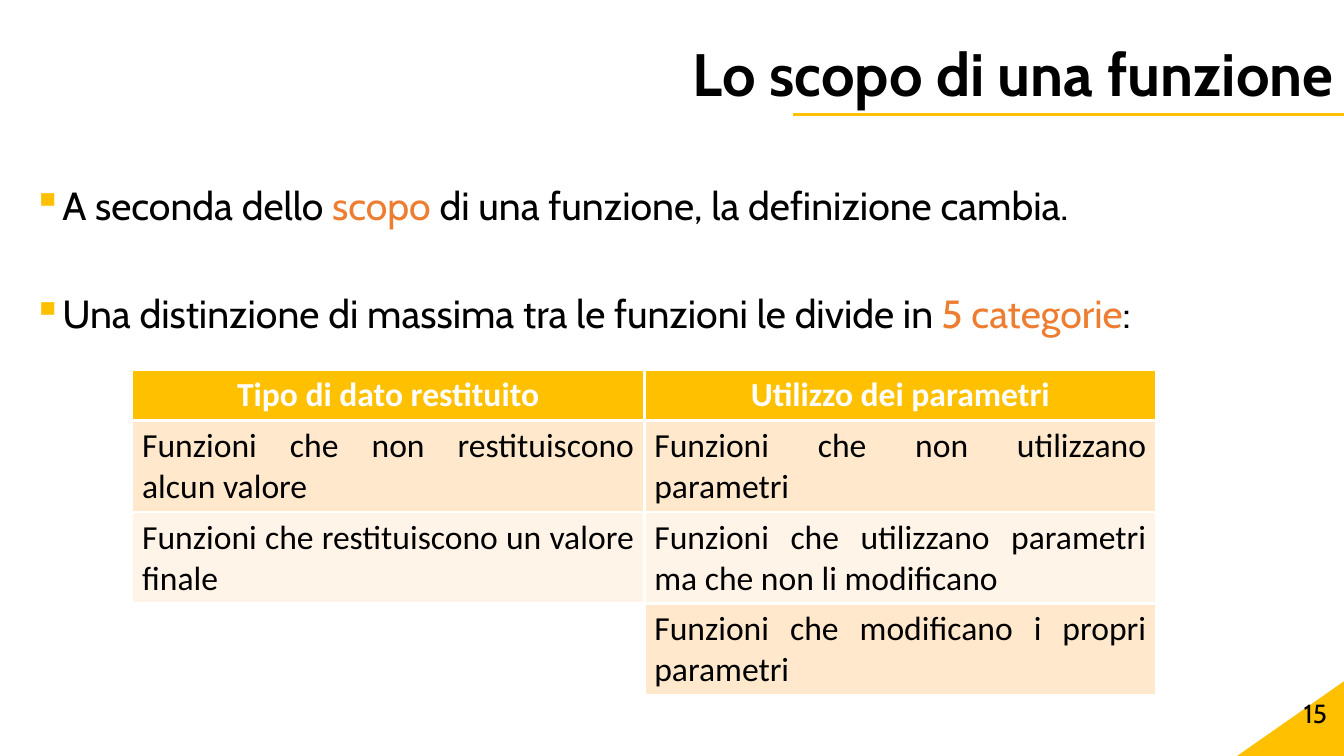
from dataclasses import dataclass

from lxml import etree
from pptx import Presentation
from pptx import util as u
from pptx.dml.color import RGBColor
from pptx.enum import shapes, text
from pptx.oxml import parse_xml
from pptx.oxml.ns import nsdecls, qn


@dataclass(frozen=True)
class Theme:
    heading_font: str = "Cabin"
    table_font: str = "Calibri"
    black: str = "000000"
    white: str = "FFFFFF"
    yellow: str = "FFC000"
    orange: str = "ED7D31"
    bands: tuple = ("FFE8CC", "FFF4E7")
    title_size: float = 42.7
    body_size: float = 28
    table_size: float = 24
    number_size: float = 18.7
    line_width: float = 2.25


ALIGN = text.PP_ALIGN
ANCHOR = text.MSO_ANCHOR


def color(value):
    return RGBColor.from_string(value)


def write(paragraph, content, *, font, size, fill, bold=False, align=ALIGN.LEFT):
    """Add one run to the paragraph and set the paragraph's alignment."""
    paragraph.alignment = align
    run = paragraph.add_run()
    run.text = content
    run.font.name = font
    run.font.size = u.Pt(size)
    run.font.bold = bold
    run.font.color.rgb = color(fill)


def add_bullet(paragraph, fill):
    properties = paragraph._p.get_or_add_pPr()
    indent = u.Inches(0.25)
    properties.set("marL", str(indent))
    properties.set("indent", str(-indent))
    properties.append(parse_xml(
        f'<a:buClr {nsdecls("a")}><a:srgbClr val="{fill}"/></a:buClr>'))
    properties.append(parse_xml(f'<a:buChar {nsdecls("a")} char="▪"/>'))


def add_borders(cell, fill, width):
    properties = cell._tc.get_or_add_tcPr()
    for index, side in enumerate(("lnL", "lnR", "lnT", "lnB")):
        properties.insert(index, parse_xml(
            f'<a:{side} {nsdecls("a")} w="{u.Pt(width)}"><a:solidFill>'
            f'<a:srgbClr val="{fill}"/></a:solidFill></a:{side}>'))


class SlideBuilder:
    def __init__(self, presentation, theme):
        self.theme = theme
        self.slide = presentation.slides.add_slide(presentation.slide_layouts[5])
        self.shapes = self.slide.shapes

    def corner(self, *box):
        """Add a right triangle whose square corner is at the lower right."""
        triangle = self.shapes.add_shape(
            shapes.MSO_SHAPE.RIGHT_TRIANGLE, *map(u.Inches, box))
        triangle.shadow.inherit = False
        triangle.fill.solid()
        triangle.fill.fore_color.rgb = color(self.theme.yellow)
        triangle.line.fill.background()
        triangle._element.spPr.xfrm.set("flipH", "1")

    def line(self, *ends):
        line = self.shapes.add_connector(
            shapes.MSO_CONNECTOR.STRAIGHT, *map(u.Inches, ends))
        line.line.color.rgb = color(self.theme.yellow)
        line.line.width = u.Pt(self.theme.line_width)
        etree.SubElement(line._element.spPr, qn("a:effectLst"))

    def title(self, content, *box):
        title = self.shapes.title
        title.left, title.top, title.width, title.height = map(u.Inches, box)
        frame = title.text_frame
        frame.auto_size = text.MSO_AUTO_SIZE.NONE
        frame.vertical_anchor = ANCHOR.MIDDLE
        paragraph = frame.paragraphs[0]
        paragraph.line_spacing = 0.9
        write(paragraph, content, font=self.theme.heading_font,
              size=self.theme.title_size, fill=self.theme.black,
              bold=True, align=ALIGN.RIGHT)

    def text_box(self, *box, anchor=ANCHOR.TOP):
        frame = self.shapes.add_textbox(*map(u.Inches, box)).text_frame
        frame.word_wrap = True
        frame.vertical_anchor = anchor
        return frame

    def bullets(self, items, *box):
        """Add bulleted lines; the second part of each item is highlighted."""
        theme = self.theme
        frame = self.text_box(*box)
        for index, parts in enumerate(items):
            paragraph = frame.add_paragraph() if index else frame.paragraphs[0]
            paragraph.line_spacing = 2.0
            paragraph.space_before = u.Pt(10)
            add_bullet(paragraph, theme.yellow)
            for part, fill in zip(parts, (theme.black, theme.orange, theme.black)):
                write(paragraph, part, font=theme.heading_font,
                      size=theme.body_size, fill=fill, align=ALIGN.JUSTIFY)

    def page_number(self, content, *box):
        frame = self.text_box(*box, anchor=ANCHOR.MIDDLE)
        write(frame.paragraphs[0], content, font=self.theme.heading_font,
              size=self.theme.number_size, fill=self.theme.black,
              align=ALIGN.RIGHT)

    def table(self, rows, left, top, column_width, row_heights):
        theme = self.theme
        columns = len(rows[0])
        table = self.shapes.add_table(
            len(rows), columns, u.Inches(left), u.Inches(top),
            u.Inches(column_width * columns), u.Inches(sum(row_heights))).table
        table.first_row = True
        table.horz_banding = False
        for column in table.columns:
            column.width = u.Inches(column_width)
        for row_index, contents in enumerate(rows):
            table.rows[row_index].height = u.Inches(row_heights[row_index])
            header = row_index == 0
            band = theme.yellow if header else theme.bands[(row_index - 1) % 2]
            for column_index, content in enumerate(contents):
                cell = table.cell(row_index, column_index)
                add_borders(cell, theme.white, theme.line_width)
                if not content:
                    cell.fill.background()
                    continue
                cell.fill.solid()
                cell.fill.fore_color.rgb = color(band)
                write(cell.text_frame.paragraphs[0], content,
                      font=theme.table_font, size=theme.table_size,
                      fill=theme.white if header else theme.black, bold=header,
                      align=ALIGN.CENTER if header else ALIGN.JUSTIFY)


def main():
    presentation = Presentation()
    presentation.slide_width = u.Inches(13.33)
    presentation.slide_height = u.Inches(7.5)

    builder = SlideBuilder(presentation, Theme())
    builder.corner(12.27, 6.76, 1.06, 0.74)
    builder.line(7.87, 1.14, 13.33, 1.14)
    builder.title("Lo scopo di una funzione", 0, 0.4, 13.33, 0.74)
    builder.bullets([
        ("A seconda dello ", "scopo", " di una funzione, la definizione cambia."),
        ("Una distinzione di massima tra le funzioni le divide in ",
         "5 categorie", ":"),
    ], 0.23, 1.28, 12.8, 5.82)
    builder.page_number("15", 10.26, 6.87, 3, 0.4)
    builder.table([
        ("Tipo di dato restituito", "Utilizzo dei parametri"),
        ("Funzioni che non restituiscono alcun valore",
         "Funzioni che non utilizzano parametri"),
        ("Funzioni che restituiscono un valore finale",
         "Funzioni che utilizzano parametri ma che non li modificano"),
        ("", "Funzioni che modificano i propri parametri"),
    ], 1.31, 3.67, 5.08, (0.5, 0.91, 0.91, 0.91))

    presentation.save("out.pptx")


if __name__ == "__main__":
    main()
